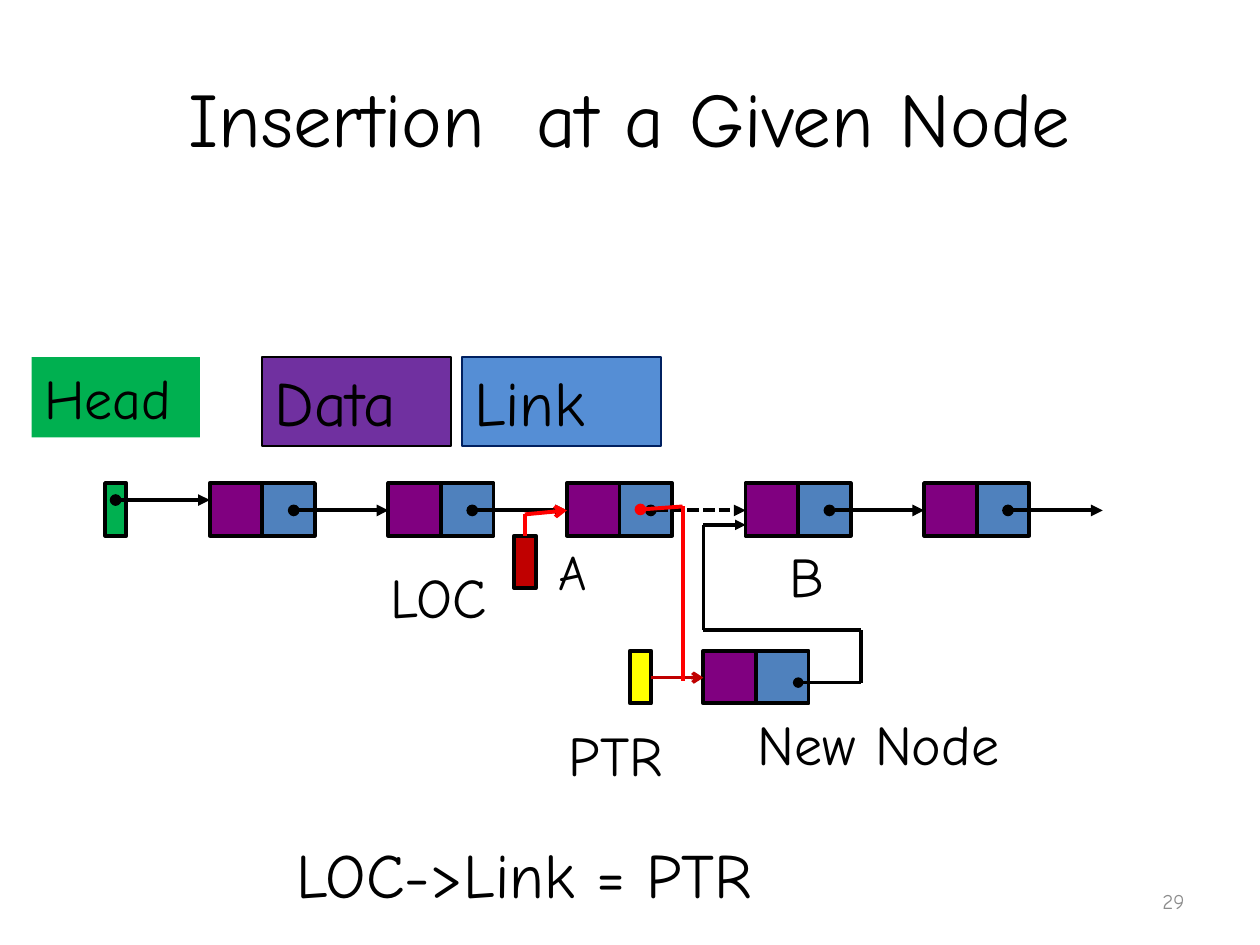
from dataclasses import dataclass
from itertools import pairwise

from pptx import Presentation
from pptx.dml.color import RGBColor
from pptx.enum.dml import MSO_LINE
from pptx.enum.shapes import MSO_CONNECTOR, MSO_SHAPE
from pptx.enum.text import MSO_ANCHOR, MSO_AUTO_SIZE, PP_ALIGN
from pptx.oxml.ns import qn
from pptx.util import Cm, Pt
from lxml.etree import SubElement

FONT = "Comic Neue"
BLACK, RED, DARK_RED, GREEN = "000000", "FF0000", "C00000", "00B050"
CELL = 1.06
POINTER_WIDTH = 0.43
LIST_LEFT, LIST_TOP, PITCH = 4.23, 9.74, 3.6
LINK_Y = 10.29
NODE_COUNT, BROKEN_LINK = 5, 2


@dataclass
class Label:
    text: str
    left: float
    top: float
    width: float
    height: float
    size: int = 32
    fill: str | None = None
    outline: str | None = None
    color: str = BLACK
    align: PP_ALIGN = PP_ALIGN.LEFT
    anchor: MSO_ANCHOR = MSO_ANCHOR.TOP


@dataclass
class Route:
    """A run of straight segments through points given in centimetres."""
    points: list[tuple[float, float]]
    color: str = BLACK
    width: float = 2.25
    head: str | None = None
    tail: str | None = None
    dashed: bool = False


@dataclass
class Pointer:
    left: float
    top: float
    fill: str


LABELS = [
    Label("Head", 0.64, 7.2, 3.39, 1.62, fill=GREEN),
    Label("Data", 5.29, 7.2, 3.81, 1.8, 36, "7030A0", BLACK),
    Label("Link", 9.31, 7.2, 4.02, 1.8, 36, "558ED5", "002060"),
    Label("New Node", 15.03, 14.18, 6.55, 1.62),
    Label("PTR", 11.22, 14.4, 2.96, 1.62),
    Label("B", 15.66, 10.8, 2.54, 1.62),
    Label("A", 11.01, 10.8, 2.12, 1.45, 28),
    Label("LOC", 7.62, 11.22, 3.6, 1.62),
    Label("LOC->Link = PTR", 5.72, 16.72, 15.66, 1.8, 36),
    Label("29", 18.2, 17.66, 5.93, 1.01, 12, color="8C8C8C",
          align=PP_ALIGN.RIGHT, anchor=MSO_ANCHOR.MIDDLE),
]
POINTERS = [
    Pointer(2.12, LIST_TOP, GREEN),
    Pointer(12.7, 13.12, "FFFF00"),
    Pointer(10.37, 10.8, DARK_RED),
]
NODES = [(LIST_LEFT + PITCH * index, LIST_TOP) for index in range(NODE_COUNT)]
NEW_NODE = (14.18, 13.12)

LINKS = [
    Route([(left + 1.69, LINK_Y), (left + PITCH, LINK_Y)],
          head="oval", tail="triangle", dashed=index == BROKEN_LINK)
    for index, (left, _) in enumerate(NODES)
]
ROUTES = [
    Route([(2.33, 10.08), (LIST_LEFT, 10.08)], head="oval", tail="triangle"),
    *LINKS,
    Route([(13.12, 13.66), (14.18, 13.66)], DARK_RED, 2, tail="arrow"),
    Route([(16.09, 13.76), (17.36, 13.76), (17.36, 12.7), (14.18, 12.7),
           (14.18, 10.58), (15.03, 10.58)], width=2, head="oval", tail="triangle"),
    Route([(10.58, 10.8), (10.58, 10.37), (11.43, LINK_Y)], RED, tail="arrow"),
    Route([(12.91, 10.27), (13.76, 10.21), (13.76, 13.72)], RED, head="oval"),
]


def rgb(color: str) -> RGBColor:
    return RGBColor.from_string(color)


def set_attributes(target, values: dict) -> None:
    for name, value in values.items():
        setattr(target, name, value)


def format_text(paragraph, size: int, color: str, align: PP_ALIGN) -> None:
    paragraph.alignment = align
    set_attributes(paragraph.font, {"name": FONT, "size": Pt(size)})
    paragraph.font.color.rgb = rgb(color)


def add_box(slide, left: float, top: float, width: float, height: float,
            fill: str, outline: str | None = BLACK, line_width: float = 2.25):
    shape = slide.shapes.add_shape(
        MSO_SHAPE.RECTANGLE, Cm(left), Cm(top), Cm(width), Cm(height))
    shape.shadow.inherit = False
    shape.fill.solid()
    shape.fill.fore_color.rgb = rgb(fill)
    if outline:
        shape.line.color.rgb = rgb(outline)
        shape.line.width = Pt(line_width)
    else:
        shape.line.fill.background()
    return shape


def add_label(slide, label: Label) -> None:
    frame = (label.left, label.top, label.width, label.height)
    if label.fill:
        shape = add_box(slide, *frame, label.fill, label.outline, 1)
    else:
        shape = slide.shapes.add_textbox(*map(Cm, frame))
    set_attributes(shape.text_frame, {
        "text": label.text,
        "word_wrap": True,
        "auto_size": MSO_AUTO_SIZE.SHAPE_TO_FIT_TEXT if label.anchor == MSO_ANCHOR.TOP
        else MSO_AUTO_SIZE.NONE,
        "vertical_anchor": label.anchor,
    })
    format_text(shape.text_frame.paragraphs[0], label.size, label.color, label.align)


def add_node(slide, left: float, top: float) -> None:
    add_box(slide, left + CELL, top, CELL, CELL, "4F81BD")
    add_box(slide, left, top, CELL, CELL, "800080")


def add_route(slide, route: Route) -> None:
    connectors = []
    for start, end in pairwise(route.points):
        connector = slide.shapes.add_connector(
            MSO_CONNECTOR.STRAIGHT, *map(Cm, start + end))
        connector.line.color.rgb = rgb(route.color)
        connector.line.width = Pt(route.width)
        if route.dashed:
            connector.line.dash_style = MSO_LINE.SQUARE_DOT
        SubElement(connector._element.spPr, qn("a:effectLst"))
        connectors.append(connector)
    ends = ((connectors[0], "a:headEnd", route.head),
            (connectors[-1], "a:tailEnd", route.tail))
    for connector, tag, kind in ends:
        if kind:
            line = connector._element.spPr.find(qn("a:ln"))
            SubElement(line, qn(tag), type=kind)


def main() -> None:
    presentation = Presentation()
    set_attributes(presentation, {"slide_width": Cm(25.4), "slide_height": Cm(19.05)})
    slide = presentation.slides.add_slide(presentation.slide_layouts[5])

    title = slide.shapes.title
    set_attributes(title, {"left": Cm(1.27), "top": Cm(0.76),
                           "width": Cm(22.86), "height": Cm(3.18)})
    set_attributes(title.text_frame, {"text": "Insertion  at a Given Node",
                                      "vertical_anchor": MSO_ANCHOR.MIDDLE})
    format_text(title.text_frame.paragraphs[0], 44, BLACK, PP_ALIGN.CENTER)

    for left, top in [*NODES, NEW_NODE]:
        add_node(slide, left, top)
    for pointer in POINTERS:
        add_box(slide, pointer.left, pointer.top, POINTER_WIDTH, CELL, pointer.fill)
    for route in ROUTES:
        add_route(slide, route)
    for label in LABELS:
        add_label(slide, label)

    presentation.save("out.pptx")


if __name__ == "__main__":
    main()
